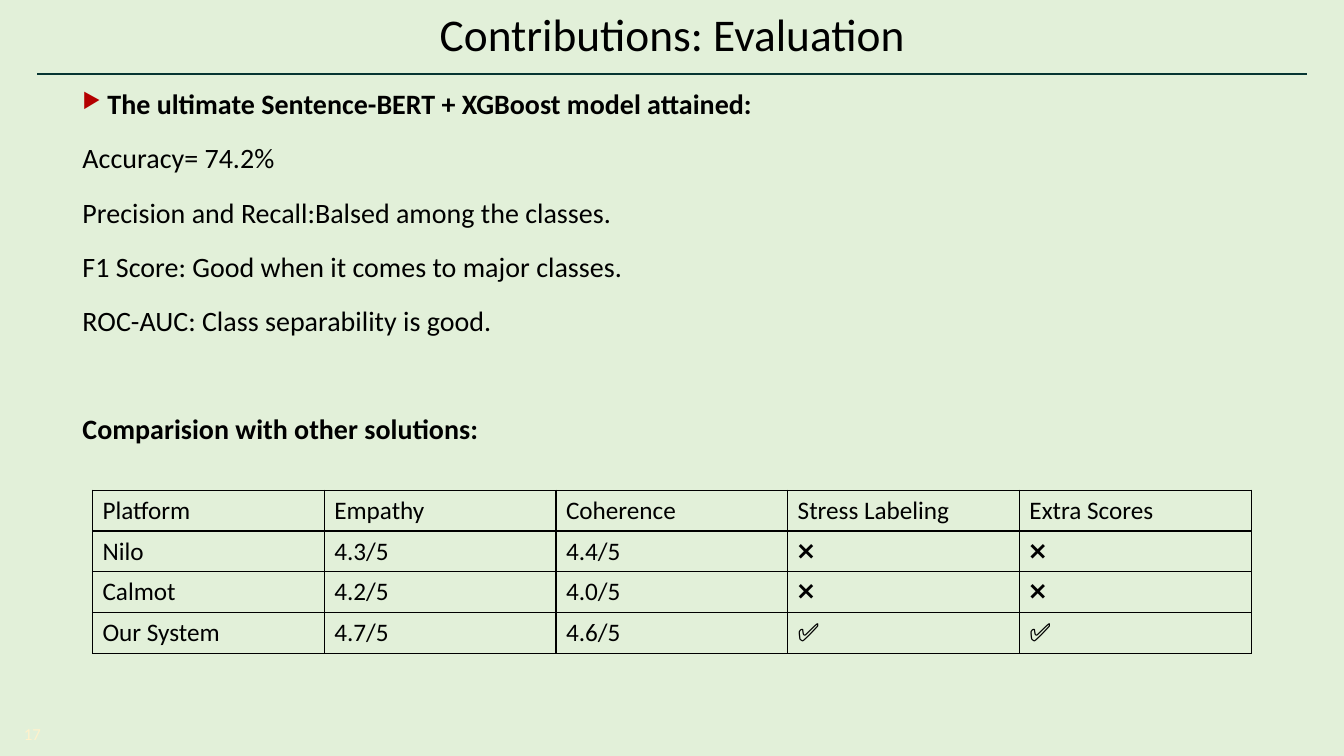
from lxml import etree
from pptx import Presentation
from pptx.dml.color import RGBColor
from pptx.enum.shapes import MSO_CONNECTOR
from pptx.enum.text import MSO_ANCHOR, PP_ALIGN
from pptx.oxml.ns import qn
from pptx.util import Cm, Pt

STRAIGHT = MSO_CONNECTOR.STRAIGHT
MIDDLE, TOP = MSO_ANCHOR.MIDDLE, MSO_ANCHOR.TOP
LEFT, CENTER, JUSTIFY = PP_ALIGN.LEFT, PP_ALIGN.CENTER, PP_ALIGN.JUSTIFY

COLORS = {
    "background": "E2F0D9",
    "rule": "063532",
    "text": "000000",
    "bullet": "B40000",
    "number": "FFF2CC",
}


def rgb(name):
    return RGBColor.from_string(COLORS[name])


def add_color(parent, name):
    etree.SubElement(parent, qn("a:srgbClr"), val=COLORS[name])


class SlideBuilder:
    font = "Calibri"

    def __init__(self, prs):
        self.s = prs.slides.add_slide(prs.slide_layouts[6])
        fill = self.s.background.fill
        fill.solid()
        fill.fore_color.rgb = rgb("background")

    def run(self, p, text, size, bold=False, color="text"):
        r = p.add_run()
        r.text = text
        r.font.name = self.font
        r.font.size = Pt(size)
        r.font.bold = bold
        r.font.color.rgb = rgb(color)

    def box(self, x, y, w, h, anchor=TOP):
        sp = self.s.shapes.add_textbox(Cm(x), Cm(y), Cm(w), Cm(h))
        tf = sp.text_frame
        tf.word_wrap = True
        tf.vertical_anchor = anchor
        tf.margin_top = tf.margin_bottom = 0
        return tf

    def label(self, x, y, w, h, text, size, align=LEFT, color="text"):
        p = self.box(x, y, w, h, MIDDLE).paragraphs[0]
        p.alignment = align
        self.run(p, text, size, color=color)

    def line(self, x1, y1, x2, y2, color, width):
        c = self.s.shapes.add_connector(STRAIGHT, Cm(x1), Cm(y1), Cm(x2), Cm(y2))
        c.line.color.rgb = rgb(color)
        c.line.width = Pt(width)
        etree.SubElement(c._element.spPr, qn("a:effectLst"))

    def bullet(self, p):
        pPr = p._p.get_or_add_pPr()
        pPr.set("marL", str(Cm(1.9)))
        pPr.set("indent", str(Cm(-0.63)))
        add_color(etree.SubElement(pPr, qn("a:buClr")), "bullet")
        etree.SubElement(pPr, qn("a:buSzPct"), val="75000")
        etree.SubElement(pPr, qn("a:buChar"), char="▶")

    def body(self, x, y, w, h, items, size):
        tf = self.box(x, y, w, h)
        for i, (text, bold, bulleted, before) in enumerate(items):
            p = tf.add_paragraph() if i else tf.paragraphs[0]
            p.alignment = JUSTIFY
            p.line_spacing = 1.07
            p.space_before = Pt(before)
            p.space_after = Pt(8)
            if bulleted:
                self.bullet(p)
            else:
                p._p.get_or_add_pPr().set("marL", str(Cm(1.27)))
            self.run(p, text, size, bold)

    def borders(self, cell, color, width):
        tcPr = cell._tc.get_or_add_tcPr()
        for i, side in enumerate("LRTB"):
            ln = etree.Element(qn(f"a:ln{side}"), w=str(Pt(width)))
            add_color(etree.SubElement(ln, qn("a:solidFill")), color)
            tcPr.insert(i, ln)

    def table(self, x, y, col_w, row_h, rows, size):
        n, m = len(rows), len(rows[0])
        frame = self.s.shapes.add_table(n, m, Cm(x), Cm(y), Cm(col_w * m), Cm(row_h * n))
        table = frame.table
        table.first_row = table.horz_banding = False
        for column in table.columns:
            column.width = Cm(col_w)
        for i, row in enumerate(rows):
            table.rows[i].height = Cm(row_h)
            for j, text in enumerate(row):
                cell = table.cell(i, j)
                cell.vertical_anchor = MIDDLE
                cell.fill.background()
                self.borders(cell, "text", 1)
                self.run(cell.text_frame.paragraphs[0], text, size)


def main():
    prs = Presentation()
    prs.slide_width, prs.slide_height = Cm(33.87), Cm(19.05)
    slide = SlideBuilder(prs)

    slide.line(0.94, 1.87, 32.95, 1.87, "rule", 1.5)
    slide.label(0.94, 0.1, 32, 1.5, "Contributions: Evaluation", 32.4, CENTER)
    slide.body(0.56, 2.13, 32.41, 15.27, [
        ("The ultimate Sentence-BERT + XGBoost model attained:", True, True, 5),
        ("Accuracy= 74.2%", False, False, 5),
        ("Precision and Recall:Balsed among the classes.", False, False, 5),
        ("F1 Score: Good when it comes to major classes.", False, False, 5),
        ("ROC-AUC: Class separability is good.", False, False, 5),
        ("Comparision with other solutions:", True, False, 43.6),
    ], 20)
    slide.table(2.33, 12.35, 5.84, 1.03, [
        ("Platform", "Empathy", "Coherence", "Stress Labeling", "Extra Scores"),
        ("Nilo", "4.3/5", "4.4/5", "❌", "❌"),
        ("Calmot", "4.2/5", "4.0/5", "❌", "❌"),
        ("Our System", "4.7/5", "4.6/5", "✅", "✅"),
    ], 18)
    slide.label(0.35, 18, 1.5, 1, "17", 12, color="number")

    prs.save("out.pptx")


if __name__ == "__main__":
    main()
